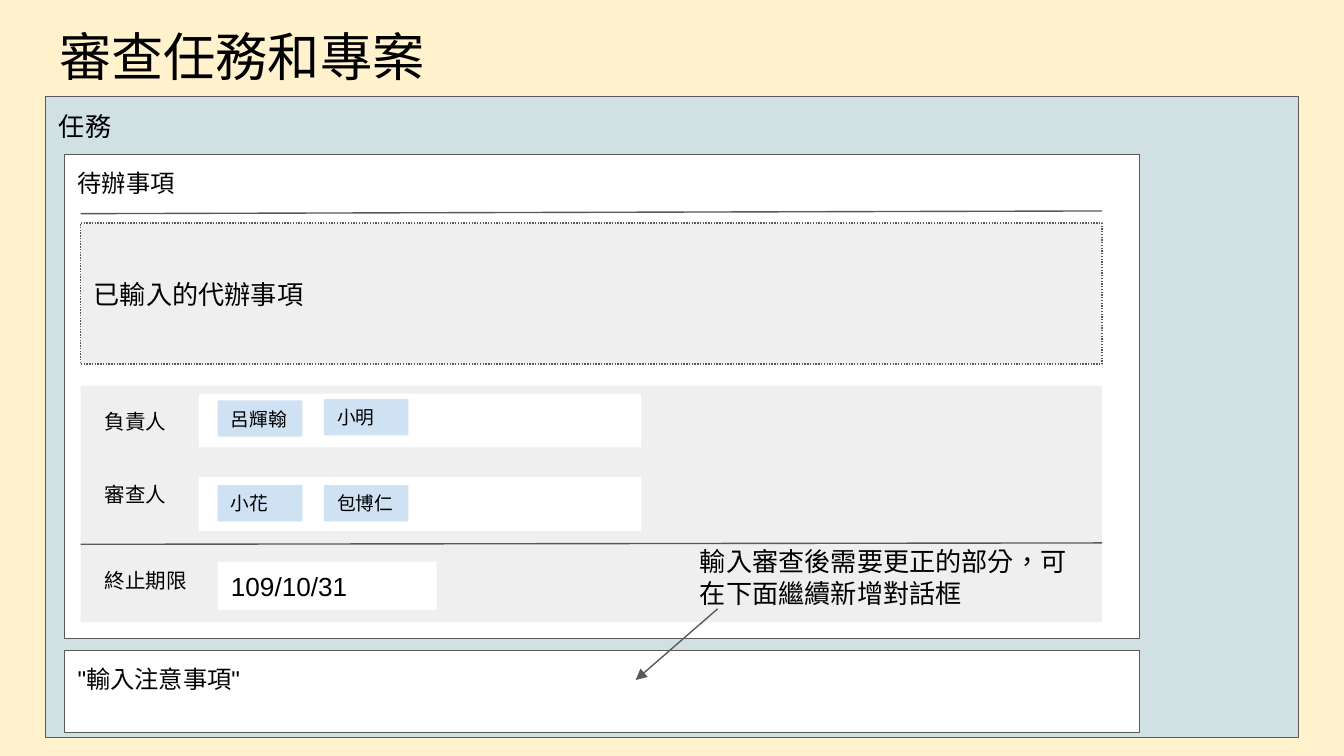
"""Builds the task and project review form slide."""
from lxml import etree
from pptx import Presentation
from pptx import util as u
from pptx.dml.color import RGBColor
from pptx.enum import dml, lang, shapes, text
from pptx.oxml.ns import qn

COLORS = {"page": "FFF2CC", "panel": "D0E0E3", "card": "FFFFFF", "field": "EFEFEF",
          "chip": "CFE2F3", "line": "595959", "text": "000000"}


class Board:
    """Style and current slide, measured in grid cells of a tenth of an inch."""

    def __init__(self, cols=100, rows=56.25):
        self.prs = Presentation()
        self.prs.slide_width, self.prs.slide_height = self.cells(cols, rows)
        self.s = self.prs.slides.add_slide(self.prs.slide_layouts[5])
        fill = self.s.background.fill
        fill.solid()
        fill.fore_color.rgb = self.color("page")

    def cells(self, *values):
        return [u.Inches(v / 10) for v in values]

    def color(self, name):
        return RGBColor.from_string(COLORS[name])

    def add_text(self, sp, words, size, font="Arial", middle=False):
        tf = sp.text_frame
        tf.word_wrap = True
        tf.auto_size = text.MSO_AUTO_SIZE.NONE
        tf.vertical_anchor = text.MSO_ANCHOR.MIDDLE if middle else text.MSO_ANCHOR.TOP
        tf.margin_left, tf.margin_top, tf.margin_right, tf.margin_bottom = self.cells(1, 1, 1, 1)
        p = tf.paragraphs[0]
        p.alignment = text.PP_ALIGN.LEFT
        r = p.add_run()
        r.text = words
        r.font.size, r.font.name = u.Pt(size), font
        r.font.color.rgb = self.color("text")
        r.font.language_id = lang.MSO_LANGUAGE_ID.TRADITIONAL_CHINESE

    def title(self, words, x, y, w, h):
        sp = self.s.shapes.title
        sp.left, sp.top, sp.width, sp.height = self.cells(x, y, w, h)
        self.add_text(sp, words, 28, "Lato")

    def box(self, x, y, w, h, fill, words="", size=14, middle=False, outline=False, dotted=False):
        sp = self.s.shapes.add_shape(shapes.MSO_SHAPE.RECTANGLE, *self.cells(x, y, w, h))
        sp.shadow.inherit = False
        sp.fill.solid()
        sp.fill.fore_color.rgb = self.color(fill)
        if outline:
            self.stroke(sp.line)
        else:
            sp.line.fill.background()
        if dotted:
            sp.line.dash_style = dml.MSO_LINE.ROUND_DOT
        if words:
            self.add_text(sp, words, size, middle=middle)

    def label(self, x, y, w, h, words, size=11):
        self.add_text(self.s.shapes.add_textbox(*self.cells(x, y, w, h)), words, size)

    def stroke(self, line):
        line.color.rgb = self.color("line")
        line.width = u.Pt(0.75)

    def line(self, x1, y1, x2, y2, arrow=False):
        c = self.s.shapes.add_connector(shapes.MSO_CONNECTOR.STRAIGHT, *self.cells(x1, y1, x2, y2))
        self.stroke(c.line)
        props = c._element.spPr
        if arrow:
            etree.SubElement(props.find(qn("a:ln")), qn("a:tailEnd"), type="triangle")
        etree.SubElement(props, qn("a:effectLst"))


def main():
    b = Board()
    b.title("審查任務和專案", 3.4, 0.8, 93.2, 6.3)
    b.box(3.4, 7.2, 93.2, 47.7, "panel", "任務", outline=True)
    b.box(4.8, 11.5, 80, 36, "card", "待辦事項", 13, outline=True)
    b.line(6, 15.9, 82, 15.7)
    b.box(6, 28.7, 76, 17.6, "field")
    b.box(6, 16.6, 76, 10.5, "field", "已輸入的代辦事項", middle=True, outline=True, dotted=True)

    people = [("負責人", 29.4, 29.3, [("呂輝翰", 29.8), ("小明", 29.7)]),
              ("審查人", 34.9, 35.5, [("小花", 36.1), ("包博仁", 36.1)])]
    for role, label_y, field_y, names in people:
        b.label(6.8, label_y, 7.1, 3.6, role)
        b.box(14.8, field_y, 32.9, 4, "card")
        for i, (name, y) in enumerate(names):
            b.box(16.2 + 7.9 * i, y, 6.3, 2.7, "chip", name, 10, middle=True)

    b.line(6, 40.5, 82, 40.4)
    b.label(6.8, 41.3, 8.6, 3.6, "終止期限")
    b.box(16.2, 41.8, 16.3, 3.6, "card", "109/10/31", middle=True)
    b.box(4.8, 48.4, 80, 6.1, "card", '"輸入注意事項"', 13, outline=True)
    b.line(53.4, 45.3, 47.3, 50.6, arrow=True)
    b.label(51.1, 39.6, 30.9, 5.1, "輸入審查後需要更正的部分，可在下面繼續新增對話框", 14)
    b.prs.save("out.pptx")


if __name__ == "__main__":
    main()
